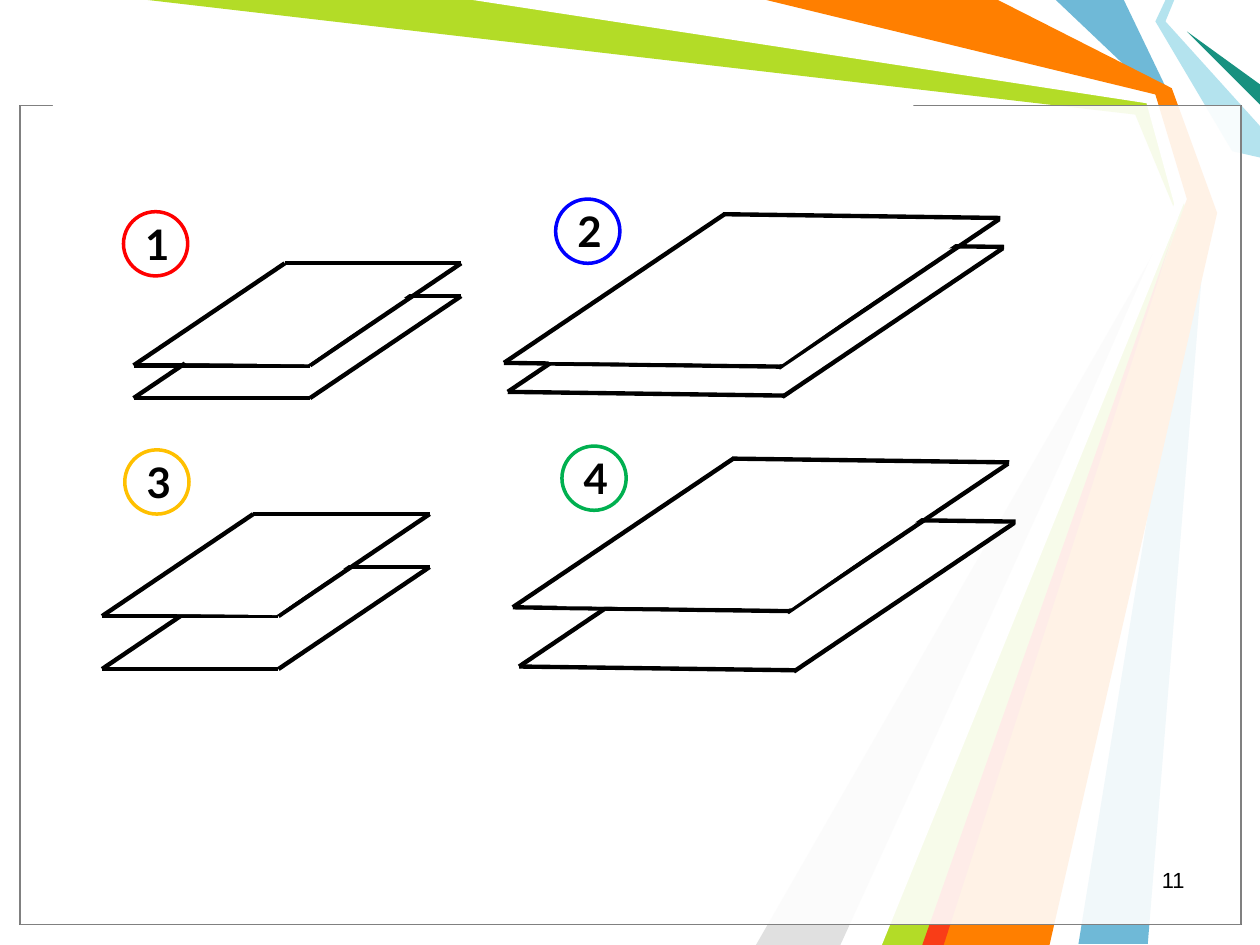
from lxml import etree
from pptx import Presentation
from pptx.dml.color import RGBColor
from pptx.enum.shapes import MSO_CONNECTOR, MSO_SHAPE
from pptx.enum.text import MSO_ANCHOR, PP_ALIGN
from pptx.oxml.ns import qn
from pptx.util import Inches, Pt

STRAIGHT = MSO_CONNECTOR.STRAIGHT
RECT, DIAMOND, OVAL = MSO_SHAPE.RECTANGLE, MSO_SHAPE.DIAMOND, MSO_SHAPE.OVAL
CENTER, RIGHT = PP_ALIGN.CENTER, PP_ALIGN.RIGHT
MIDDLE = MSO_ANCHOR.MIDDLE

COLORS = {
    "black": "000000", "white": "FFFFFF", "frame": "808080",
    "sky": "6FB9D7", "lime": "B3DC27", "silver": "E0E0E0", "aqua": "B4E3EE",
    "teal": "189180", "orange": "FF7F00", "scarlet": "F93D17",
    "red": "FF0000", "blue": "0000FF", "amber": "FFC000", "green": "00B050",
}

# Background ribbons, back to front
RIBBONS = [
    ("sky", [(8.92, 0), (9.29, 0.77), (9.58, 1.67), (9.11, 7.49), (8.56, 7.49),
             (9.5, 1.67), (9.17, 0.75), (8.38, 0)]),
    ("lime", [(1.17, 0), (3.83, 0), (9.14, 0.78), (9.42, 1.69), (7.42, 7.5),
              (6.92, 7.5), (9.35, 1.73), (9.01, 0.91)]),
    ("silver", [(6.67, 7.5), (9.27, 1.81), (6, 7.5)]),
    ("white", [(3.75, 0), (9.1, 0.82), (9.32, 1.62), (6.75, 7.5), (7, 7.5),
               (9.41, 1.58), (9.17, 0.75), (6, 0)]),
    ("aqua", [(9.25, 0), (9.17, 0.17), (9.78, 1.2), (10, 1.25), (10, 1),
              (9.25, 0.17), (9.32, 0)]),
    ("teal", [(10, 0.83), (9.42, 0.25), (10, 0.67)]),
    ("orange", [(6.08, 0), (7.92, 0), (9.3, 0.7), (9.66, 1.69), (8.33, 7.5),
                (7.33, 7.5), (9.42, 1.58), (9.17, 0.75)]),
    ("scarlet", [(7.32, 7.5), (9.32, 1.83), (7.49, 7.5)]),
]

# Plate edges and mask box, relative to the plate's left corner
SMALL = {
    "edges": [(0, 0, 1.2, -0.81), (1.4, 0, 2.6, -0.81),
              (1.2, -0.81, 2.6, -0.81), (0, 0, 1.4, 0)],
    "mask": (0.37, -0.6, 1.85, 0.59),
}
LARGE = {
    "edges": [(0, 0, 1.75, -1.18), (0, 0, 2.2, 0.03),
              (2.18, 0.04, 3.93, -1.14), (1.74, -1.18, 3.94, -1.15)],
    "mask": (0.28, -1.1, 3.52, 1.12),
}

# Number, ring colour, ring corner, plate, upper corner, offset of lower plate
CAPACITORS = [
    ("1", "red", (0.98, 1.68), SMALL, (1.06, 2.9), (0, 0.26)),
    ("2", "blue", (4.41, 1.58), LARGE, (4, 2.88), (0.03, 0.23)),
    ("3", "amber", (0.99, 3.57), SMALL, (0.81, 4.89), (0, 0.42)),
    ("4", "green", (4.46, 3.54), LARGE, (4.07, 4.82), (0.05, 0.47)),
]
RING = 0.51


def rgb(name):
    return RGBColor.from_string(COLORS[name])


def paint(sp, fill=None, line=None, width=0.75):
    sp.shadow.inherit = False
    if fill:
        sp.fill.solid()
        sp.fill.fore_color.rgb = rgb(fill)
    else:
        sp.fill.background()
    if line:
        sp.line.color.rgb = rgb(line)
        sp.line.width = Pt(width)
    else:
        sp.line.fill.background()


def add_shape(s, kind, box, **style):
    sp = s.shapes.add_shape(kind, *map(Inches, box))
    paint(sp, **style)
    return sp


def add_ribbon(s, color, points):
    points = [(Inches(x), Inches(y)) for x, y in points]
    builder = s.shapes.build_freeform(*points[0])
    builder.add_line_segments(points[1:], close=True)
    paint(builder.convert_to_shape(), fill=color)


def add_veil(s, line):
    """Add the framed panel that fades the ribbons behind it."""
    sp = add_shape(s, RECT, (0.16, 0.84, 9.69, 6.5), fill="white", line=line)
    color = sp.fill._xPr.find(qn("a:solidFill"))[0]
    etree.SubElement(color, qn("a:alpha"), val="69000")


def add_text(sp, text, font, size, align, bold=False):
    tf = sp.text_frame
    tf.word_wrap = True
    p = tf.paragraphs[0]
    p.alignment = align
    r = p.add_run()
    r.text = text
    r.font.name = font
    r.font.size = Pt(size)
    r.font.bold = bold
    r.font.color.rgb = rgb("black")
    return tf


def add_plate(s, plate, x, y):
    for x1, y1, x2, y2 in plate["edges"]:
        ends = (x + x1, y + y1, x + x2, y + y2)
        edge = s.shapes.add_connector(STRAIGHT, *map(Inches, ends))
        edge.line.color.rgb = rgb("black")
        edge.line.width = Pt(2.5)
        etree.SubElement(edge._element.spPr, qn("a:effectLst"))


def add_plate_pair(s, plate, corner, offset):
    """Draw two stacked plates; a white diamond hides the lower one's back."""
    x, y = corner
    dx, dy = offset
    add_plate(s, plate, x, y)
    add_plate(s, plate, x + dx, y + dy)
    left, top, width, height = plate["mask"]
    mask = add_shape(s, DIAMOND, (x + left, y + top, width, height),
                     fill="white", line="white", width=2)
    mask.rotation = 342.9


def add_number_ring(s, number, color, corner):
    sp = add_shape(s, OVAL, (*corner, RING, RING), line=color, width=2)
    tf = add_text(sp, number, "Lato", 24, CENTER, bold=True)
    tf.vertical_anchor = MIDDLE


def add_page_number(s, number):
    box = (7.17, 6.87, 2.33, 0.33)
    sp = s.shapes.add_textbox(*map(Inches, box))
    tf = add_text(sp, number, "Arial", 12.5, RIGHT)
    tf.paragraphs[0].line_spacing = 0.8


def main():
    prs = Presentation()
    prs.slide_width, prs.slide_height = Inches(10), Inches(7.5)
    s = prs.slides.add_slide(prs.slide_layouts[6])

    for color, points in RIBBONS:
        add_ribbon(s, color, points)
    for line in ("black", "frame"):
        add_veil(s, line)
    add_shape(s, RECT, (0.42, 0.74, 6.83, 0.17), fill="white")
    add_page_number(s, "11")

    for number, color, ring, plate, corner, offset in CAPACITORS:
        add_plate_pair(s, plate, corner, offset)
        add_number_ring(s, number, color, ring)

    prs.save("out.pptx")


if __name__ == "__main__":
    main()
